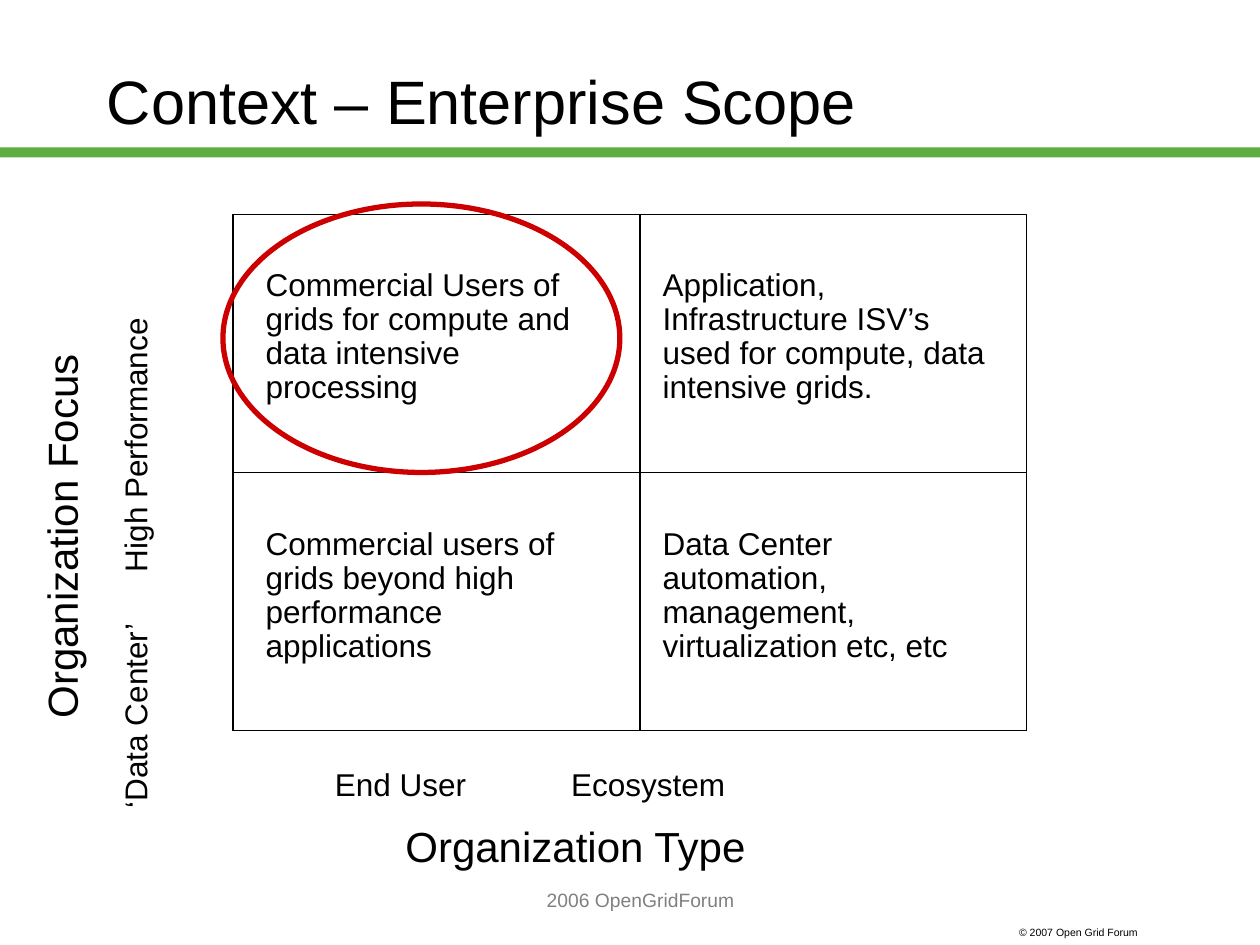
from lxml import etree
from pptx import Presentation, util as u
from pptx.dml.color import RGBColor
from pptx.enum import shapes, text
from pptx.oxml.ns import qn

Pt = u.Pt
INCH = 72

THEME = {
    "font": "Arial",
    "ink": "000000", "muted": "808080", "bar": "5DAD41", "highlight": "CC0000",
    "title": 35, "axis": 24, "body": 18, "footer": 11, "copyright": 6,
}

# Content
TITLE = "Context – Enterprise Scope"
QUADRANTS = [
    ["Commercial Users of grids for compute and data intensive processing",
     "Application, Infrastructure ISV’s used for compute, data intensive grids."],
    ["Commercial users of grids beyond high performance applications",
     "Data Center automation, management, virtualization etc, etc"],
]
# wording, size, left, top, width, height, rotation
AXES = [
    ("Organization Type", "axis", 224.6, 468.7, 264.2, 33.1, 0),
    ("Organization Focus", "axis", -101.5, 262.8, 276.5, 33.1, 270),
    ("End User\t\tEcosystem", "body", 184.3, 436.3, 327.6, 26.6, 0),
    ("‘Data Center’\tHigh Performance", "body", -113.8, 263.5, 384.5, 26.6, 270),
]
FOOTER = "2006 OpenGridForum"
COPYRIGHT = "© 2007 Open Grid Forum"

# Matrix geometry
LEFT, TOP, WIDTH, HEIGHT = 133.2, 122.4, 453.6, 295.2
FIRST_COLUMN, ROW = 232.6, HEIGHT / 2
CELL_LEFTS = (144.7, 371.5)
CELL_TOP, CELL_WIDTH, CELL_HEIGHT = 150.5, 209.5, 85

presentation = Presentation()
presentation.slide_width, presentation.slide_height = Pt(10 * INCH), Pt(7.5 * INCH)
slide = presentation.slides.add_slide(presentation.slide_layouts[6])


def color(name):
    return RGBColor.from_string(THEME[name])


def add_figure(kind, left, top, width, height, fill=None, line=None, weight=0.75):
    figure = slide.shapes.add_shape(kind, Pt(left), Pt(top), Pt(width), Pt(height))
    figure.shadow.inherit = False
    if fill:
        figure.fill.solid()
        figure.fill.fore_color.rgb = color(fill)
    else:
        figure.fill.background()
    if line:
        figure.line.color.rgb = color(line)
        figure.line.width = Pt(weight)
    else:
        figure.line.fill.background()


def add_label(wording, size, left, top, width, height, rotation=0, ink="ink",
              anchor=text.MSO_ANCHOR.TOP, align=text.PP_ALIGN.LEFT,
              spacing=None, hanging=False):
    label = slide.shapes.add_textbox(Pt(left), Pt(top), Pt(width), Pt(height))
    label.rotation = rotation
    frame = label.text_frame
    frame.word_wrap = True
    frame.vertical_anchor = anchor
    frame.text = wording
    paragraph = frame.paragraphs[0]
    paragraph.alignment = align
    if spacing:
        paragraph.line_spacing = spacing
    if hanging:
        # Hanging indent with a tab stop at every inch
        properties = paragraph._p.get_or_add_pPr()
        properties.set("marL", str(Pt(27)))
        properties.set("indent", str(-Pt(27)))
        stops = etree.SubElement(properties, qn("a:tabLst"))
        for inch in range(8):
            etree.SubElement(stops, qn("a:tab"), pos=str(Pt(inch * INCH)), algn="l")
    for run in paragraph.runs:
        run.font.name = THEME["font"]
        run.font.size = Pt(THEME[size])
        run.font.color.rgb = color(ink)


# Header and copyright
add_figure(shapes.MSO_SHAPE.RECTANGLE, 0, 84.2, 720, 5.8, fill="bar")
add_label(COPYRIGHT, "copyright", 575.3, 525.6, 108, 14.4)
add_label(TITLE, "title", 54, 12.2, 612, 90, anchor=text.MSO_ANCHOR.MIDDLE)

# Matrix: outer frame, first column, second row
for frame_box in [(LEFT, TOP, WIDTH, HEIGHT),
                  (LEFT, TOP, FIRST_COLUMN, HEIGHT),
                  (LEFT, TOP + ROW, WIDTH, ROW)]:
    add_figure(shapes.MSO_SHAPE.RECTANGLE, *frame_box, line="ink")

# Axis titles and categories
for axis in AXES:
    add_label(*axis, spacing=0.9, hanging=True)

# Quadrant wording
for row, quadrant_row in enumerate(QUADRANTS):
    for left, quadrant in zip(CELL_LEFTS, quadrant_row):
        add_label(quadrant, "body", left, CELL_TOP + row * ROW,
                  CELL_WIDTH, CELL_HEIGHT, spacing=0.9)

# Highlighted quadrant and footer
add_figure(shapes.MSO_SHAPE.OVAL, 127.4, 116.6, 226.8, 153.4,
           line="highlight", weight=3)
add_label(FOOTER, "footer", 156.2, 504, 419.8, 36, ink="muted",
          align=text.PP_ALIGN.CENTER)

presentation.save("out.pptx")
